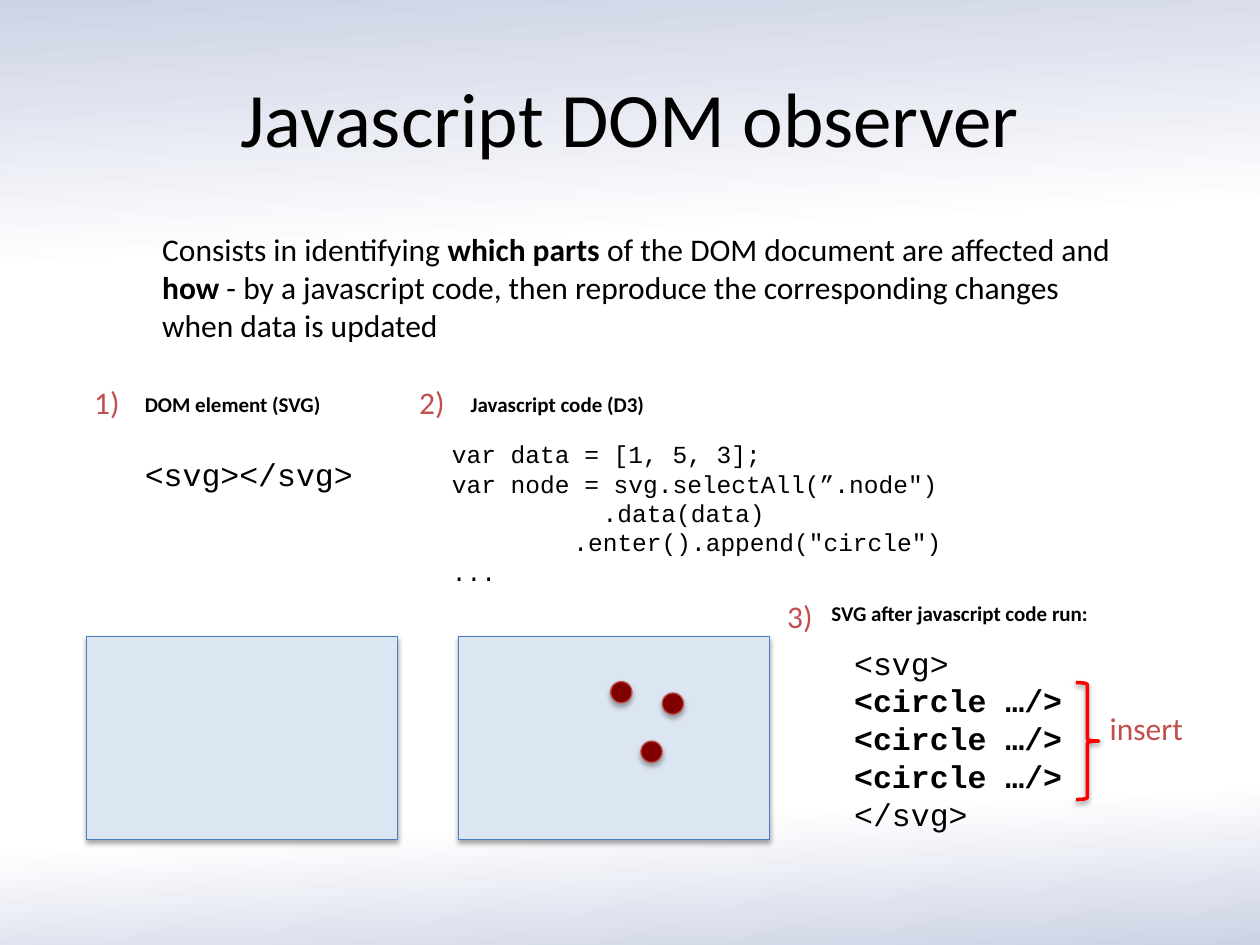
from lxml.etree import SubElement as Sub
from pptx import Presentation
from pptx.dml.color import RGBColor
from pptx.enum.shapes import MSO_SHAPE as Kind
from pptx.enum.text import MSO_ANCHOR as Anchor, MSO_AUTO_SIZE as Fit, PP_ALIGN as Align
from pptx.oxml.ns import qn
from pptx.util import Cm, Pt

SANS, MONO = "Calibri", "Courier New"
BLACK, RED = "000000", "C0504D"


def color(code):
    return RGBColor.from_string(code)


def style(run, size, font=SANS, ink=BLACK, bold=False):
    run.font.size, run.font.name, run.font.bold = Pt(size), font, bold
    run.font.color.rgb = color(ink)


def text(shapes, box, lines, size, font=SANS, ink=BLACK, bold=(), wrap=False):
    """Add a text box; bold holds the numbers of the bold lines."""
    frame = shapes.add_textbox(*map(Cm, box)).text_frame
    frame.word_wrap = wrap
    frame.auto_size = Fit.SHAPE_TO_FIT_TEXT
    frame.text = "\n".join(lines)
    for i, para in enumerate(frame.paragraphs):
        for run in para.runs:
            style(run, size, font, ink, i in bold)
    return frame


def shape(shapes, kind, box, fill, line, width=0.75, alpha=35, dist=1.8):
    item = shapes.add_shape(kind, *map(Cm, box))
    if fill:
        item.fill.solid()
        item.fill.fore_color.rgb = color(fill)
    else:
        item.fill.background()
    item.line.color.rgb = color(line)
    item.line.width = Pt(width)
    # Soft shadow straight below
    item.shadow.inherit = False
    glow = Sub(item.element.spPr.find(qn("a:effectLst")), qn("a:outerShdw"),
               blurRad=str(Pt(3.1)), dist=str(Pt(dist)), dir="5400000",
               rotWithShape="0")
    tint = Sub(glow, qn("a:srgbClr"), val=BLACK)
    Sub(tint, qn("a:alpha"), val=str(alpha * 1000))


def backdrop(slide):
    slide.background.fill.gradient()
    slide.background.fill.gradient_angle = 93
    stops = next(slide.element.iter(qn("a:gsLst")))
    for stop in list(stops):
        stops.remove(stop)
    for pos, code in ((0, "CDD3E5"), (16, "FFFFFF"), (73, "FFFFFF"), (100, "CDD3E5")):
        stop = Sub(stops, qn("a:gs"), pos=str(pos * 1000))
        Sub(stop, qn("a:srgbClr"), val=code)


def header(shapes, box):
    frame = text(shapes, box, ["Javascript DOM observer"], 44, wrap=True)
    frame.auto_size = Fit.NONE
    frame.vertical_anchor = Anchor.MIDDLE
    frame.paragraphs[0].alignment = Align.CENTER


def intro(shapes, box):
    parts = ["Consists in identifying ", "which parts ",
             "of the DOM document are affected and ", "how",
             " - by a javascript code, then reproduce the corresponding "
             "changes when data is updated"]
    para = text(shapes, box, [""], 18, wrap=True).paragraphs[0]
    for i, part in enumerate(parts):
        run = para.add_run()
        run.text = part
        style(run, 18, bold=i % 2 == 1)


def step(slide, x, y, num, title, head):
    """Start a numbered group; head is the offset and width of its title."""
    shapes = slide.shapes.add_group_shape().shapes
    text(shapes, (x, y, 1.04, 1.02), [f"{num})"], 18, ink=RED)
    dx, dy, wide = head
    text(shapes, (x + dx, y + dy, wide, 0.76), [title], 12, bold=[0])
    return shapes


def canvas(shapes, x, y, dots=()):
    shape(shapes, Kind.RECTANGLE, (x, y, 6.27, 4.09), "DCE6F2", "4B7EBC")
    for dx, dy in dots:
        shape(shapes, Kind.OVAL, (x + dx, y + dy, 0.43, 0.43), "800000", RED)


def source(slide, x, y):
    shapes = step(slide, x, y, 1, "DOM element (SVG)", (1.02, 0.18, 4.11))
    text(shapes, (x + 1.02, y + 1.45, 4.75, 1.02), ["<svg></svg>"], 18, MONO)
    canvas(shapes, x + 0.1, y + 5.24)


def code(slide, x, y):
    shapes = step(slide, x, y, 2, "Javascript code (D3)", (1.04, 0.18, 4.06))
    lines = ["var data = [1, 5, 3];", "var node = svg.selectAll(”.node\")",
             ".data(data)", '.enter().append("circle")', "..."]
    frame = text(shapes, (x + 0.66, y + 1.14, 10.46, 3.25), lines, 14, MONO)
    for i, left in ((2, 3.04), (3, 2.45)):
        frame.paragraphs[i]._p.get_or_add_pPr().set("marL", str(Cm(left)))
    canvas(shapes, x + 1.04, y + 5.24, [(3.07, 0.91), (3.68, 2.11), (4.11, 1.14)])


def result(slide, x, y):
    shapes = step(slide, x, y, 3, "SVG after javascript code run:", (0.89, 0.08, 5.77))
    lines = ["<svg>", *["<circle …/>"] * 3, "</svg>"]
    text(shapes, (x + 1.35, y + 0.94, 4.75, 4.11), lines, 18, MONO, bold=(1, 2, 3))
    shape(shapes, Kind.RIGHT_BRACE, (x + 6.07, y + 1.85, 0.46, 2.36),
          None, "FF0000", 2, 38, 1.6)
    text(shapes, (x + 6.5, y + 2.26, 2.01, 1.02), ["insert"], 18, ink=RED)


deck = Presentation()
deck.slide_width, deck.slide_height = Cm(25.4), Cm(19.05)
slide = deck.slides.add_slide(deck.slide_layouts[6])
backdrop(slide)
header(slide.shapes, (1.27, 0.76, 22.86, 3.18))
intro(slide.shapes, (3.02, 4.52, 19.63, 2.57))
source(slide, 1.65, 7.59)
code(slide, 8.2, 7.59)
result(slide, 15.62, 11.91)
deck.save("out.pptx")
